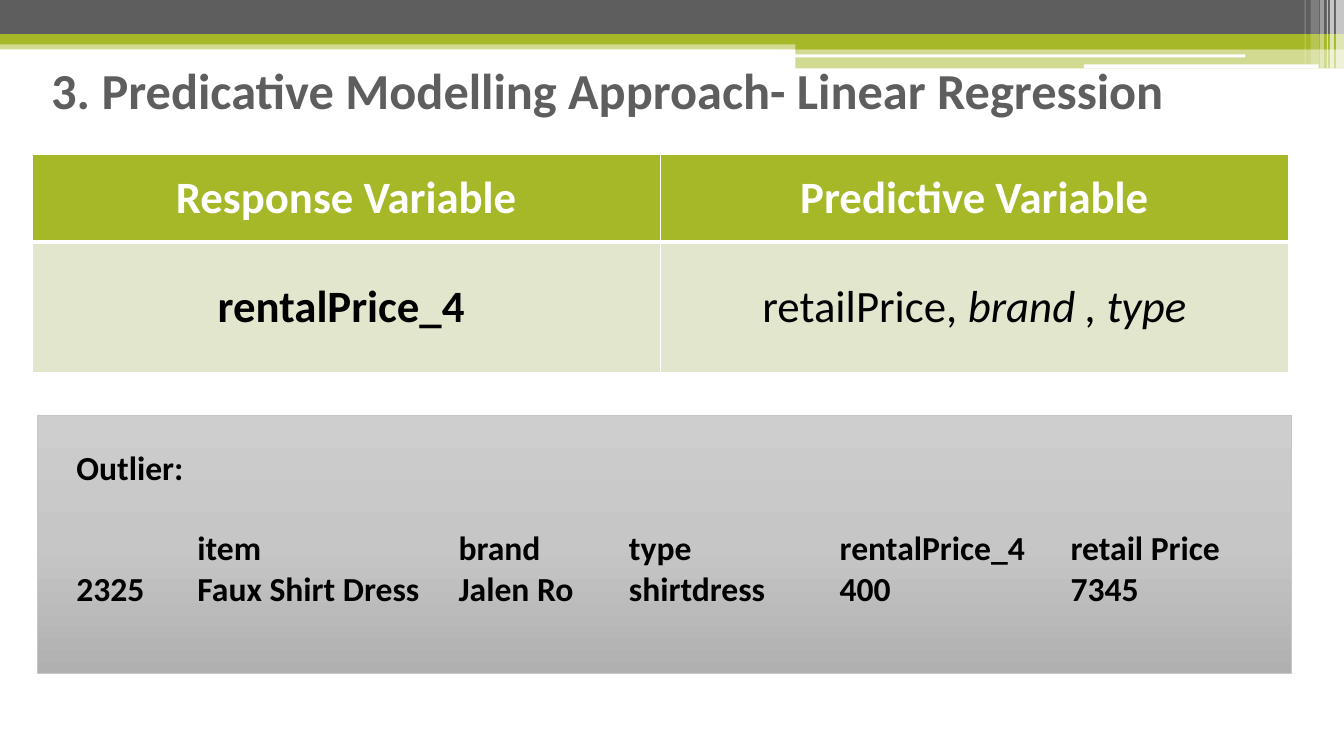
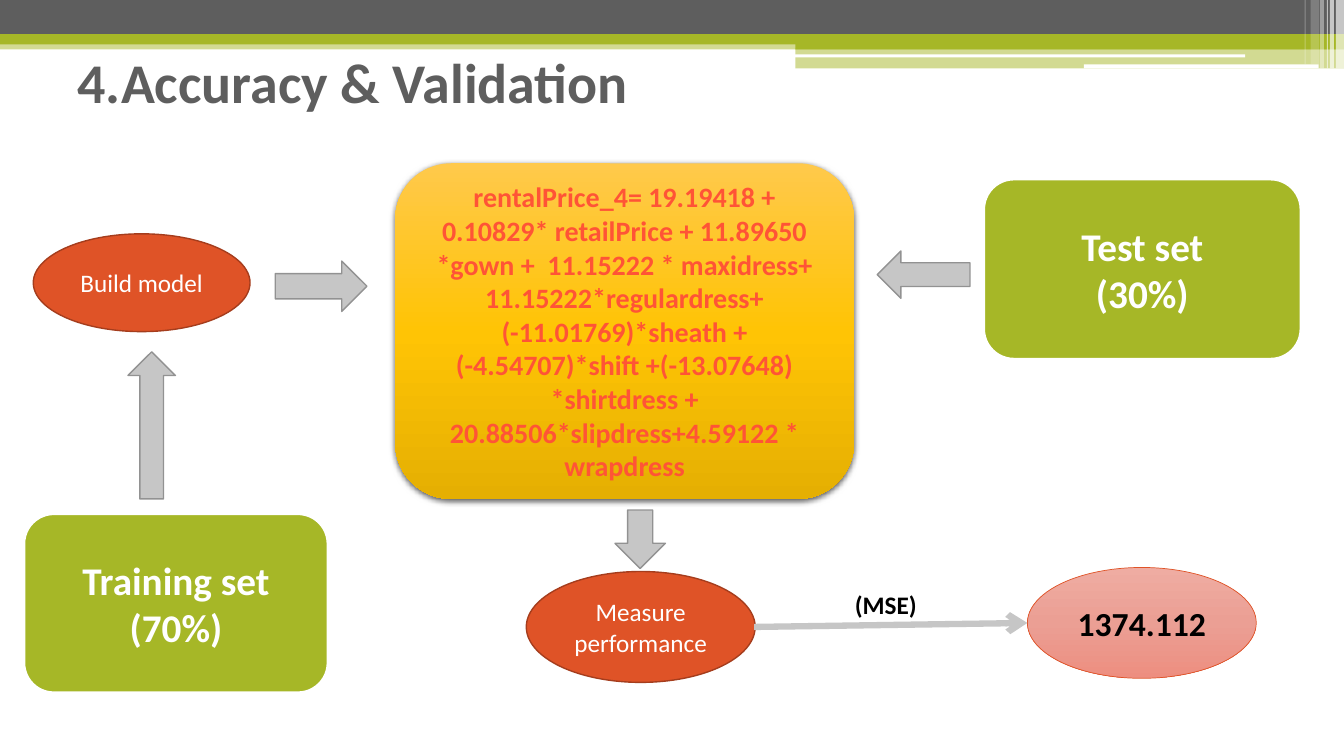
"""Build two slides on a rental price model: its variables and its validation."""
from lxml import etree
from pptx import Presentation, util as u
from pptx.dml.color import RGBColor
from pptx.enum import shapes, text
from pptx.oxml import parse_xml
from pptx.oxml.ns import qn, nsdecls

GREEN = RGBColor(0xA6, 0xB7, 0x27)
PALE = RGBColor(0xE1, 0xE6, 0xCD)
GREY = RGBColor(0x5E, 0x5E, 0x5E)
SILVER = RGBColor(0xC6, 0xC6, 0xC6)
STEEL = RGBColor(0x92, 0x92, 0x92)
RUST = RGBColor(0xDF, 0x53, 0x27)
BRICK = RGBColor(0xA5, 0x3D, 0x1D)
CORAL = RGBColor(0xFF, 0x54, 0x36)
WHITE = RGBColor(0xFF, 0xFF, 0xFF)
BLACK = RGBColor(0, 0, 0)
SHADE = ["CECECE", "C6C6C6", "B0B0B0"]
BLUSH = ["EFACA2", "EB9F94", "ED8E80"]
GOLD = ["FFC94B", "FFC405", "E5AF02"]

KIND = shapes.MSO_SHAPE
MID = text.MSO_ANCHOR.MIDDLE
LEFT, CENTER = text.PP_ALIGN.LEFT, text.PP_ALIGN.CENTER
WIDE, HIGH = 13.33, 7.5

BANDS = [
    (0, 0.4, WIDE, 0.09, GREEN, 50),
    (0, 0, WIDE, 0.34, GREY, 100),
    (0, 0.34, WIDE, 0.1, GREEN, 100),
    (7.89, 0.39, 5.44, 0.1, GREEN, 100),
    (7.89, 0.48, 5.44, 0.2, GREEN, 50),
    (7.88, 0.54, 4.47, 0.03, WHITE, 100),
    (10.75, 0.64, 2.33, 0.04, WHITE, 100),
]
STRIPES = [
    (13.25, 0.08, 0.68, 65), (13.19, 0.04, 0.68, 65), (13.16, 0.01, 0.68, 60),
    (13.09, 0.04, 0.68, 40), (13, 0.08, 0.64, 20), (12.94, 0.01, 0.64, 30),
]
TABLE = [
    ["Response Variable", "Predictive Variable"],
    ["rentalPrice_4 ", [("retailPrice, ", {"bold": False}),
                        ("brand , type", {"bold": False, "italic": True})]],
]
OUTLIER = [
    "Outlier:",
    "\titem\tbrand\ttype\trentalPrice_4\tretail Price",
    "2325\tFaux Shirt Dress\tJalen Ro\tshirtdress\t400\t7345",
]
STOPS = 1.2, 3.79, 5.48, 7.57, 9.86
MODEL = ("rentalPrice_4= 19.19418 + 0.10829* retailPrice + 11.89650 *gown +  "
         "11.15222 * maxidress+ 11.15222*regulardress+(-11.01769)*sheath "
         "+(-4.54707)*shift +(-13.07648) *shirtdress + "
         "20.88506*slipdress+4.59122 * wrapdress")
SETS = [
    ((0.24, 5.1, 3.01, 1.77), ["Training set", "(70%)"]),
    ((9.76, 1.78, 3.14, 1.78), ["Test set", "(30%)"]),
]
STEPS = [
    ((0.33, 2.32, 2.15, 0.97), "Build model"),
    ((5.22, 5.67, 2.27, 1.1), "Measure performance"),
]
ARROWS = [
    (KIND.RIGHT_ARROW, (2.73, 2.59, 0.91, 0.5)),
    (KIND.UP_ARROW, (1.27, 3.49, 0.47, 1.46)),
    (KIND.LEFT_ARROW, (8.7, 2.49, 0.92, 0.47)),
    (KIND.DOWN_ARROW, (6.1, 5.06, 0.5, 0.58)),
]


def inch(box):
    return [u.Inches(n) for n in box]


def write(frame, paras, size=18, color=WHITE, bold=False, align=CENTER,
          anchor=MID, stops=(), gaps=()):
    frame.word_wrap = True
    frame.vertical_anchor = anchor
    for i, runs in enumerate(paras):
        para = frame.paragraphs[0] if i == 0 else frame.add_paragraph()
        para.alignment = align
        if i < len(gaps):
            para.space_before = u.Pt(gaps[i])
        if stops:
            tabs = etree.SubElement(para._p.get_or_add_pPr(), qn("a:tabLst"))
            for stop in stops:
                etree.SubElement(tabs, qn("a:tab"), pos=str(u.Inches(stop)), algn="l")
        for words, extra in [(runs, {})] if isinstance(runs, str) else runs:
            run = para.add_run()
            run.text = words
            font = run.font
            font.name, font.size = "Calibri", u.Pt(size)
            font.color.rgb = color
            font.bold = extra.get("bold", bold)
            font.italic = extra.get("italic", False)


def draw(slide, kind, box, fill, line=None, width=1, alpha=100):
    shape = slide.shapes.add_shape(kind, *inch(box))
    shape.shadow.inherit = False
    if isinstance(fill, list):
        shape.fill.background()
        marks = "".join(f'<a:gs pos="{i * 50000}"><a:srgbClr val="{c}"/></a:gs>'
                        for i, c in enumerate(fill))
        grad = parse_xml(f'<a:gradFill {nsdecls("a")}><a:gsLst>{marks}</a:gsLst>'
                         '<a:lin ang="5400000" scaled="0"/></a:gradFill>')
        props = shape._element.spPr
        props.replace(props.find(qn("a:noFill")), grad)
    else:
        shape.fill.solid()
        shape.fill.fore_color.rgb = fill
        if alpha < 100:
            tint = shape._element.spPr.find(qn("a:solidFill"))[0]
            etree.SubElement(tint, qn("a:alpha"), val=str(alpha * 1000))
    if line is None:
        shape.line.fill.background()
    else:
        shape.line.color.rgb = line
        shape.line.width = u.Pt(width)
    return shape


def label(slide, box, paras, **style):
    write(slide.shapes.add_textbox(*inch(box)).text_frame, paras, **style)


def start(deck, title, box, size):
    slide = deck.slides.add_slide(deck.slide_layouts[6])
    for *place, color, alpha in BANDS:
        draw(slide, KIND.RECTANGLE, place, color, alpha=alpha)
    for left, wide, high, alpha in STRIPES:
        draw(slide, KIND.RECTANGLE, (left, 0, wide, high), WHITE, alpha=alpha)
    label(slide, box, [title], size=size, color=GREY, bold=True, align=LEFT)
    return slide


def edge(cell, **widths):
    props = cell._tc.get_or_add_tcPr()
    for i, side in enumerate("LRTB"):
        width = u.Pt(widths.get(side, 1))
        props.insert(i, parse_xml(
            f'<a:ln{side} {nsdecls("a")} w="{width}"><a:solidFill>'
            f'<a:srgbClr val="{WHITE}"/></a:solidFill></a:ln{side}>'))


def approach(deck):
    slide = start(deck, "3. Predicative Modelling Approach- Linear Regression",
                  (0.41, 0.3, 12, 1.17), 36)
    grid = slide.shapes.add_table(2, 2, *inch((0.32, 1.53, 12.46, 2.17))).table
    looks = [(0.87, GREEN, WHITE, {"B": 3}), (1.3, PALE, BLACK, {"T": 3})]
    for r, (high, fill, color, rule) in enumerate(looks):
        grid.rows[r].height = u.Inches(high)
        for c, words in enumerate(TABLE[r]):
            cell = grid.cell(r, c)
            cell.fill.solid()
            cell.fill.fore_color.rgb = fill
            edge(cell, **rule)
            write(cell.text_frame, [words], size=32, color=color, bold=True)
            cell.vertical_anchor = MID
    draw(slide, KIND.RECTANGLE, (0.37, 4.12, 12.44, 2.56), SHADE, SILVER, 0.5)
    label(slide, (0.66, 4.38, 11.98, 1.7), OUTLIER, size=24, color=BLACK, bold=True,
          align=LEFT, anchor=text.MSO_ANCHOR.TOP, stops=STOPS, gaps=(0, 29))


def check(deck):
    slide = start(deck, "4.Accuracy & Validation", (0.67, 0.3, 12, 1), 40)
    for box, words in STEPS:
        write(draw(slide, KIND.OVAL, box, RUST, BRICK).text_frame, [words])
    for box, lines in SETS:
        part = draw(slide, KIND.ROUNDED_RECTANGLE, box, GREEN, WHITE, 1.5)
        write(part.text_frame, lines, size=28, bold=True)
    for kind, box in ARROWS:
        draw(slide, kind, box, SILVER, STEEL)

    score = draw(slide, KIND.OVAL, (10.19, 5.63, 2.27, 1.1), BLUSH, RUST, 0.5)
    write(score.text_frame, ["1374.112"], size=24, color=BLACK, bold=True)
    link = slide.shapes.add_connector(shapes.MSO_CONNECTOR.STRAIGHT,
                                      *inch((7.48, 6.22, 10.19, 6.18)))
    link.line.color.rgb = SILVER
    link.line.width = u.Pt(4.5)
    etree.SubElement(link.line._get_or_add_ln(), qn("a:tailEnd"), type="arrow")
    etree.SubElement(link._element.spPr, qn("a:effectLst"))
    label(slide, (8.24, 5.8, 1.09, 0.4), ["(MSE)"], color=BLACK, bold=True)

    model = draw(slide, KIND.ROUNDED_RECTANGLE, (3.92, 1.62, 4.55, 3.33), GOLD)
    glow = etree.SubElement(model._element.spPr.find(qn("a:effectLst")),
                            qn("a:outerShdw"), blurRad=str(u.Pt(4.5)),
                            dist=str(u.Pt(1.5)), dir="5400000",
                            algn="ctr", rotWithShape="0")
    tint = etree.SubElement(glow, qn("a:srgbClr"), val=str(BLACK))
    etree.SubElement(tint, qn("a:alpha"), val="63000")
    write(model.text_frame, [MODEL], size=20, color=CORAL, bold=True)


def main():
    deck = Presentation()
    deck.slide_width, deck.slide_height = inch((WIDE, HIGH))
    approach(deck)
    check(deck)
    deck.save("out.pptx")


if __name__ == "__main__":
    main()
